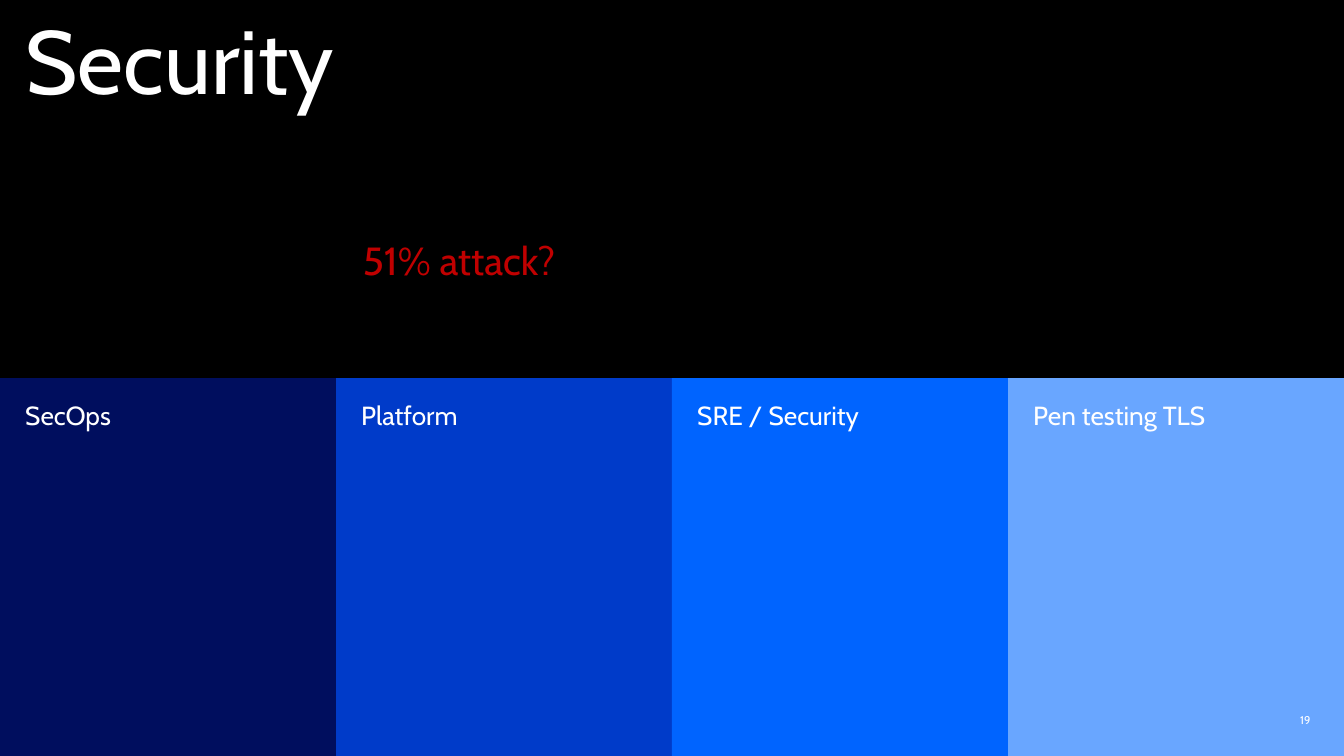
import pptx
import pptx.util
import pptx.dml.color
import pptx.enum.shapes
import pptx.enum.text

WIDTH, HEIGHT = 13.33, 7.5
FONT = "Cabin"
WHITE = "FFFFFF"
BACKGROUND = "000E5E"
HEADING = ("Security", 64, "000000")
QUESTION = ("51% attack?", 28, "C00000")
PAGE_NUMBER = ("19", 8)
TEAMS = [
    ("SecOps", "000E5E"),
    ("Platform", "003BC9"),
    ("SRE / Security", "0064FF"),
    ("Pen testing TLS", "69A6FF"),
]
TEAM_SIZE = 18.7

ALIGN = pptx.enum.text.PP_ALIGN
ANCHOR = pptx.enum.text.MSO_ANCHOR
column = WIDTH / len(TEAMS)
row = HEIGHT / 2


def paint(fill, color):
    fill.solid()
    fill.fore_color.rgb = pptx.dml.color.RGBColor.from_string(color)


def box(left, top, width, height):
    return [pptx.util.Inches(length) for length in (left, top, width, height)]


def write(part, text, size, color, insets, align=ALIGN.LEFT, anchor=ANCHOR.TOP):
    frame = part.text_frame
    frame.word_wrap = True
    frame.auto_size = pptx.enum.text.MSO_AUTO_SIZE.NONE
    frame.vertical_anchor = anchor
    frame.margin_left, frame.margin_top, frame.margin_right, frame.margin_bottom = box(*insets)
    paragraph = frame.paragraphs[0]
    paragraph.alignment = align
    run = paragraph.add_run()
    run.text = text
    run.font.name = FONT
    run.font.size = pptx.util.Pt(size)
    paint(run.font.fill, color)
    return paragraph


deck = pptx.Presentation()
deck.slide_width = pptx.util.Inches(WIDTH)
deck.slide_height = pptx.util.Inches(HEIGHT)
slide = deck.slides.add_slide(deck.slide_layouts.get_by_name("Title Only"))
paint(slide.background.fill, BACKGROUND)

heading, heading_size, heading_fill = HEADING
title = slide.shapes.title
title.left, title.top, title.width, title.height = box(0, 0, WIDTH, row)
paint(title.fill, heading_fill)
write(title, heading, heading_size, WHITE, (0.25, 0.17, 0.25, 0.25)).line_spacing = 0.9

for index, (team, color) in enumerate(TEAMS):
    panel = slide.shapes.add_shape(
        pptx.enum.shapes.MSO_SHAPE.RECTANGLE, *box(index * column, row, column, row)
    )
    panel.shadow.inherit = False
    panel.line.fill.background()
    paint(panel.fill, color)
    write(panel, team, TEAM_SIZE, WHITE, (0.25, 0.21, 0.25, 0.25))

question = slide.shapes.add_textbox(*box(3.5, 2.3, 4.58, 0.57))
write(question, *QUESTION, (0.1, 0.05, 0.1, 0.05))

page_number = slide.shapes.add_textbox(*box(3 * column, 7.04, 3, 0.2))
write(page_number, *PAGE_NUMBER, WHITE, (0, 0, 0, 0), ALIGN.RIGHT, ANCHOR.MIDDLE)

deck.save("out.pptx")
